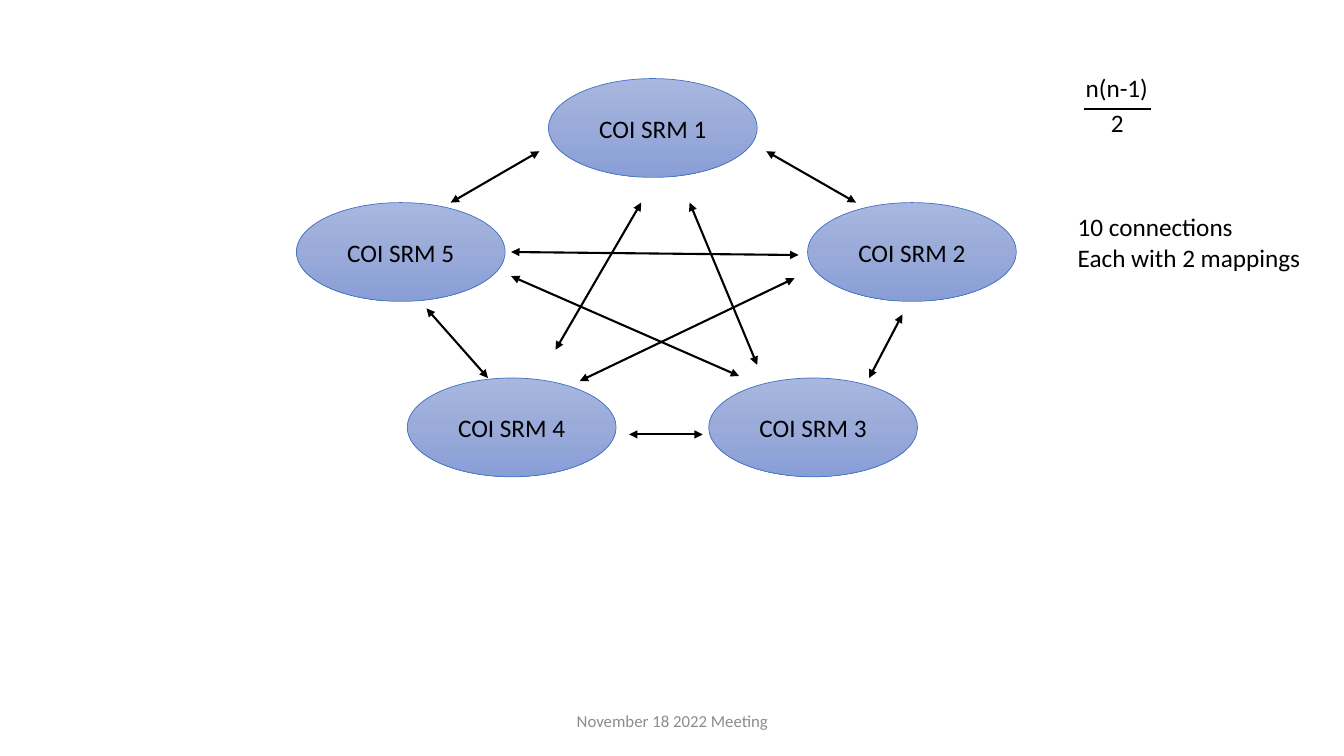
from copy import deepcopy
from typing import NamedTuple

from lxml.etree import SubElement
from pptx import Presentation
from pptx.dml.color import RGBColor
from pptx.enum.shapes import MSO_CONNECTOR, MSO_SHAPE
from pptx.enum.text import MSO_ANCHOR, PP_ALIGN
from pptx.oxml.ns import qn
from pptx.slide import Slide
from pptx.text.text import TextFrame
from pptx.util import Inches, Pt

FONT = "Calibri"
BLACK = "000000"
EDGE = "4472C4"
SHADES = ("A8B7DF", "9AABD9", "889ED7")
NODE_W, NODE_H = 2.07, 0.98


class Node(NamedTuple):
    name: str
    left: float
    top: float


class Link(NamedTuple):
    x1: float
    y1: float
    x2: float
    y2: float


class Label(NamedTuple):
    text: str
    left: float
    top: float
    width: float
    height: float
    size: int = 18
    color: str = BLACK
    wrap: bool = False
    align: PP_ALIGN = PP_ALIGN.LEFT
    anchor: MSO_ANCHOR = MSO_ANCHOR.TOP


NODES = [
    Node("COI SRM 1", 5.44, 0.78),
    Node("COI SRM 2", 8.01, 2.01),
    Node("COI SRM 3", 7.03, 3.75),
    Node("COI SRM 4", 4.04, 3.75),
    Node("COI SRM 5", 2.94, 2.01),
]

LINKS = [
    Link(6.84, 2.01, 7.51, 3.62),
    Link(6.36, 2.01, 5.51, 3.47),
    Link(6.97, 4.31, 6.24, 4.31),
    Link(8.95, 3.12, 8.62, 3.75),
    Link(7.6, 1.5, 8.49, 2.01),
    Link(5.35, 1.5, 4.47, 2.01),
    Link(4.23, 3.06, 4.84, 3.75),
    Link(7.92, 2.53, 5.07, 2.5),
    Link(7.88, 2.76, 5.75, 3.78),
    Link(5.07, 2.74, 7.33, 3.73),
]

BAR = Link(10.75, 1.08, 11.42, 1.08)

LABELS = [
    Label("n(n-1)", 10.67, 0.67, 0.83, 0.4),
    Label("2", 10.92, 1.02, 0.33, 0.4),
    Label("10 connections\nEach with 2 mappings", 10.59, 2.05, 2.44, 0.71),
    Label("November 18 2022 Meeting", 4.42, 6.95, 4.5, 0.4, 12, "8C8C8C",
          True, PP_ALIGN.CENTER, MSO_ANCHOR.MIDDLE),
]


def rgb(color: str) -> RGBColor:
    return RGBColor.from_string(color)


def write(frame: TextFrame, text: str, size: int, color: str,
          align: PP_ALIGN, anchor: MSO_ANCHOR, wrap: bool) -> None:
    frame.text = text
    frame.word_wrap = wrap
    frame.vertical_anchor = anchor
    for para in frame.paragraphs:
        para.alignment = align
        para.font.name = FONT
        para.font.size = Pt(size)
        para.font.color.rgb = rgb(color)


def add_node(slide: Slide, node: Node) -> None:
    oval = slide.shapes.add_shape(
        MSO_SHAPE.OVAL, Inches(node.left), Inches(node.top),
        Inches(NODE_W), Inches(NODE_H))
    oval.shadow.inherit = False
    oval.fill.gradient()
    oval.fill.gradient_angle = 270
    stops = oval._element.spPr.find(".//" + qn("a:gsLst"))
    stops.insert(1, deepcopy(stops[0]))
    for i, (stop, shade) in enumerate(zip(oval.fill.gradient_stops, SHADES)):
        stop.position = i / 2
        stop.color.rgb = rgb(shade)
    oval.line.color.rgb = rgb(EDGE)
    oval.line.width = Pt(0.5)
    write(oval.text_frame, node.name, 18, BLACK,
          PP_ALIGN.CENTER, MSO_ANCHOR.MIDDLE, True)


def add_link(slide: Slide, link: Link, heads: bool = True) -> None:
    line = slide.shapes.add_connector(
        MSO_CONNECTOR.STRAIGHT, *(Inches(v) for v in link))
    line.line.color.rgb = rgb(BLACK)
    line.line.width = Pt(1.5)
    if heads:
        for end in ("a:headEnd", "a:tailEnd"):
            SubElement(line.line._get_or_add_ln(), qn(end), type="triangle")
    SubElement(line._element.spPr, qn("a:effectLst"))


def add_label(slide: Slide, label: Label) -> None:
    box = slide.shapes.add_textbox(
        Inches(label.left), Inches(label.top),
        Inches(label.width), Inches(label.height))
    write(box.text_frame, label.text, label.size, label.color,
          label.align, label.anchor, label.wrap)


def main() -> None:
    deck = Presentation()
    deck.slide_width = Inches(13.33)
    deck.slide_height = Inches(7.5)
    slide = deck.slides.add_slide(deck.slide_layouts[6])
    for node in NODES:
        add_node(slide, node)
    for link in LINKS:
        add_link(slide, link)
    add_link(slide, BAR, heads=False)
    for label in LABELS:
        add_label(slide, label)
    deck.save("out.pptx")


if __name__ == "__main__":
    main()
